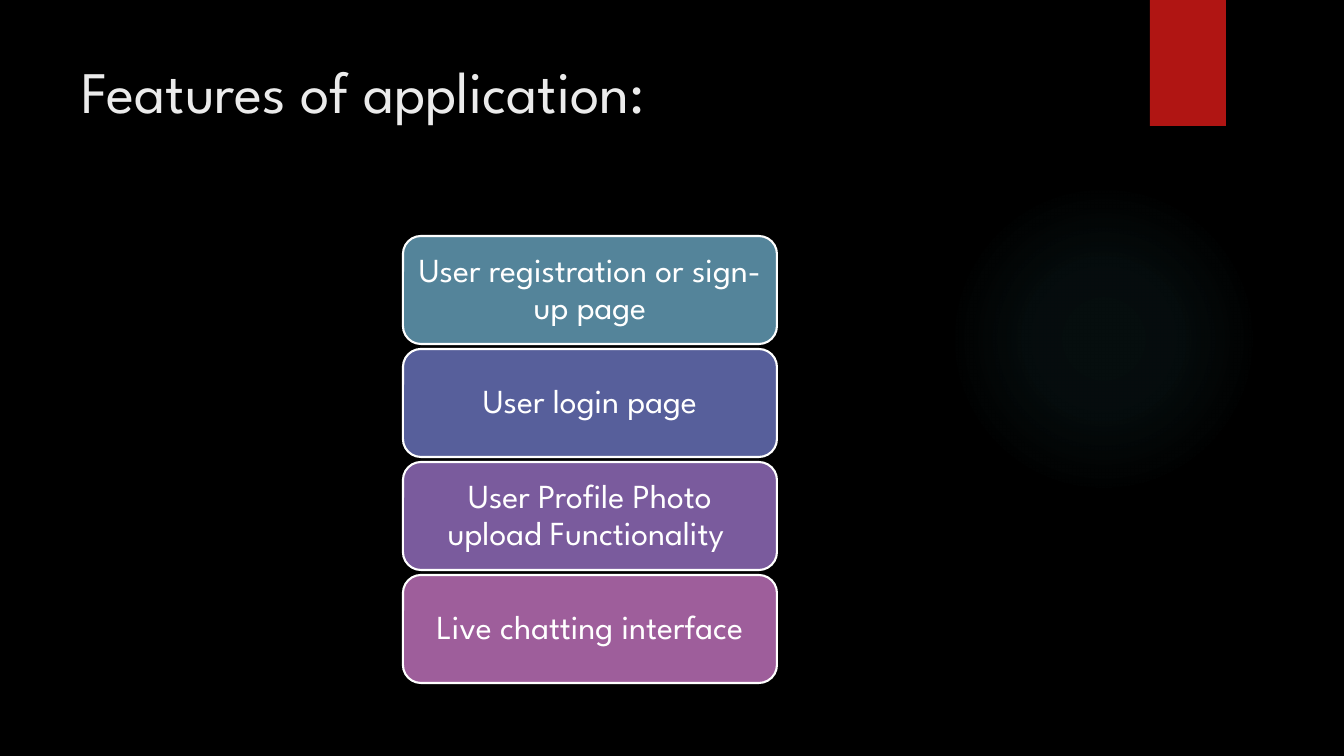
"""Build the slide that lists the application's features."""
from lxml.etree import SubElement
from pptx import Presentation
from pptx.dml.color import RGBColor
from pptx.enum.shapes import MSO_SHAPE
from pptx.enum.text import MSO_ANCHOR, PP_ALIGN
from pptx.oxml.ns import qn
from pptx.util import Pt

PX = 914400 / 100.8
FONT = "League Spartan"
BLACK = RGBColor(0x00, 0x00, 0x00)
WHITE = RGBColor(0xFF, 0xFF, 0xFF)
TITLE_GREY = RGBColor(0xEB, 0xEB, 0xEB)
RED = RGBColor(0xB0, 0x15, 0x13)
GLOW = RGBColor(0x50, 0xB9, 0xC1)
FEATURES = [
    ("User registration or sign-up page", RGBColor(0x54, 0x84, 0x9A)),
    ("User login page", RGBColor(0x57, 0x5F, 0x9B)),
    ("User Profile Photo upload Functionality ", RGBColor(0x7A, 0x5B, 0x9D)),
    ("Live chatting interface", RGBColor(0x9E, 0x5E, 0x9B)),
]


def add_box(kind, *box):
    sp = s.shapes.add_shape(kind, *[round(v * PX) for v in box])
    sp.shadow.inherit = False
    sp.line.fill.background()
    return sp


def add_text(tf, text, size, color):
    tf.word_wrap = True
    p = tf.paragraphs[0]
    r = p.add_run()
    r.text = text
    r.font.name = FONT
    r.font.size = Pt(size)
    r.font.color.rgb = color
    return p


prs = Presentation()
prs.slide_width = round(1344 * PX)
prs.slide_height = round(756 * PX)
s = prs.slides.add_slide(prs.slide_layouts[6])
s.background.fill.solid()
s.background.fill.fore_color.rgb = BLACK

glow = add_box(MSO_SHAPE.OVAL, 949, 184, 310, 310)
glow.fill.gradient()
grad = glow.element.spPr.find(qn("a:gradFill"))
for child in list(grad):
    grad.remove(child)
stops = SubElement(grad, qn("a:gsLst"))
for pos, alpha in [(0, 7), (36, 6), (69, 0)]:
    stop = SubElement(stops, qn("a:gs"), pos=str(pos * 1000))
    color = SubElement(stop, qn("a:srgbClr"), val=str(GLOW))
    SubElement(color, qn("a:alpha"), val=str(alpha * 1000))
circle = SubElement(grad, qn("a:path"), path="circle")
SubElement(circle, qn("a:fillToRect"), l="50000", t="50000", r="50000", b="50000")

ribbon = add_box(MSO_SHAPE.RECTANGLE, 1150, 0, 76, 126)
ribbon.fill.solid()
ribbon.fill.fore_color.rgb = RED

title = s.shapes.add_textbox(*[round(v * PX) for v in (72, 50, 1037, 154)])
add_text(title.text_frame, "Features of application:", 42, TITLE_GREY)

for i, (text, color) in enumerate(FEATURES):
    sp = add_box(MSO_SHAPE.ROUNDED_RECTANGLE, 403, 236 + 113 * i, 374, 108)
    sp.fill.solid()
    sp.fill.fore_color.rgb = color
    sp.line.color.rgb = WHITE
    sp.line.width = Pt(1.5)
    tf = sp.text_frame
    tf.margin_left = tf.margin_right = round(10 * PX)
    tf.vertical_anchor = MSO_ANCHOR.MIDDLE
    p = add_text(tf, text, 24, WHITE)
    p.alignment = PP_ALIGN.CENTER
    p.line_spacing = 0.9

prs.save("out.pptx")
